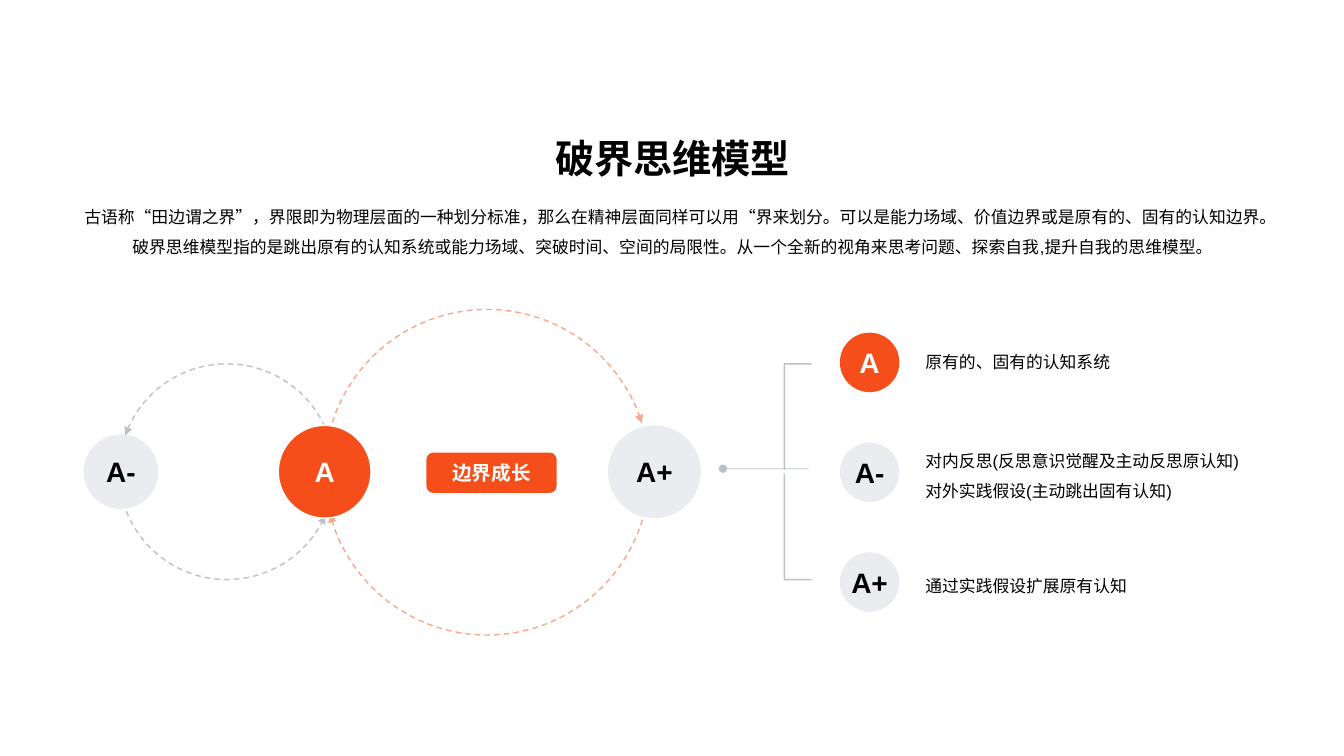
from dataclasses import dataclass

from lxml.etree import SubElement
from pptx import Presentation
from pptx.dml.color import RGBColor
from pptx.enum.dml import MSO_LINE as Dash
from pptx.enum.shapes import MSO_CONNECTOR as Connector, MSO_SHAPE as Shape
from pptx.enum.text import MSO_ANCHOR as Anchor, PP_ALIGN as Align
from pptx.oxml.ns import qn
from pptx.util import Pt


@dataclass(frozen=True)
class Theme:
    font: str = "Arial"
    black: str = "000000"
    white: str = "FFFFFF"
    orange: str = "F54E1A"
    slate: str = "778495"
    title_size: int = 28
    label_size: int = 20
    badge_size: int = 14
    body_size: int = 12
    disc_opacity: int = 15
    line_opacity: int = 50


theme = Theme()
PX = 9144  # 100 px to the inch
ARC_DEGREE = 0.6  # arc adjustments per degree


def paint(fill, color, opacity=100):
    """Fill a shape or line with a colour at a percentage of opacity."""
    fill.solid()
    fill.fore_color.rgb = RGBColor.from_string(color)
    if opacity < 100:
        color_element = fill._xPr.find(qn("a:solidFill"))[0]
        SubElement(color_element, qn("a:alpha"), val=str(opacity * 1000))


def write(shape, lines, size, color, bold=False, align=Align.CENTER,
          anchor=Anchor.MIDDLE, spacing=None, wrap=True):
    frame = shape.text_frame
    frame.word_wrap = wrap
    frame.vertical_anchor = anchor
    paragraph = frame.paragraphs[0]
    paragraph.alignment = align
    if spacing:
        paragraph.line_spacing = spacing
    for index, line in enumerate(lines):
        if index:
            paragraph.add_line_break()
        run = paragraph.add_run()
        run.text = line
        run.font.name = theme.font
        run.font.size = Pt(size)
        run.font.bold = bold
        run.font.color.rgb = RGBColor.from_string(color)


presentation = Presentation()
presentation.slide_width = 1333 * PX
presentation.slide_height = 750 * PX
slide = presentation.slides.add_slide(presentation.slide_layouts[6])
shapes = slide.shapes

# Heading and introduction
title = shapes.add_textbox(73 * PX, 128 * PX, 1188 * PX, 57 * PX)
write(title, ["破界思维模型"], theme.title_size, theme.black, bold=True)
introduction = shapes.add_textbox(73 * PX, 190 * PX, 1188 * PX, 67 * PX)
write(introduction, [
    "古语称“田边谓之界”，界限即为物理层面的一种划分标准，那么在精神层面同样可以用“界来划分。"
    "可以是能力场域、价值边界或是原有的、固有的认知边界。"
    "破界思维模型指的是跳出原有的认知系统或能力场域、突破时间、空间的局限性。"
    "从一个全新的视角来思考问题、探索自我,提升自我的思维模型。"
], theme.body_size, theme.black, anchor=Anchor.TOP, spacing=1.5)

# Dashed loops: left, top, diameter, start and end degrees, flips, colour
arcs = [
    (118, 361, 214, 194.24, 340.38, ["flipH"], theme.slate),
    (118, 361, 214, 201.43, 336.11, ["flipV"], theme.slate),
    (322, 307, 322, 194.24, 342.56, [], theme.orange),
    (322, 308, 322, 196.87, 345.22, ["flipH", "flipV"], theme.orange),
]
for left, top, diameter, start, end, flips, color in arcs:
    arc = shapes.add_shape(Shape.ARC, left * PX, top * PX, diameter * PX, diameter * PX)
    arc.shadow.inherit = False
    arc.adjustments[0] = start * ARC_DEGREE
    arc.adjustments[1] = end * ARC_DEGREE
    for flip in flips:
        arc._element.spPr.xfrm.set(flip, "1")
    arc.fill.background()
    paint(arc.line.fill, color, theme.line_opacity)
    arc.line.width = Pt(1)
    arc.line.dash_style = Dash.DASH
    SubElement(arc.line._ln, qn("a:tailEnd"), type="triangle")

# Discs: label, left, top, diameter
discs = [
    ("A-", 83, 431, 74),
    ("A", 276, 422, 92),
    ("A+", 603, 422, 92),
]
discs += [(label, 833, 330 + row * 109, 59) for row, label in enumerate(["A", "A-", "A+"])]
for label, left, top, diameter in discs:
    disc = shapes.add_shape(Shape.OVAL, left * PX, top * PX, diameter * PX, diameter * PX)
    disc.shadow.inherit = False
    disc.line.fill.background()
    if label == "A":
        paint(disc.fill, theme.orange)
        text_color = theme.white
    else:
        paint(disc.fill, theme.slate, theme.disc_opacity)
        text_color = theme.black
    if diameter == 92 and label == "A":
        paint(disc.line.fill, theme.white)
        disc.line.width = Pt(1)
    write(disc, [label], theme.label_size, text_color, bold=True, wrap=False)

badge = shapes.add_shape(Shape.ROUNDED_RECTANGLE, 423 * PX, 449 * PX, 129 * PX, 40 * PX)
badge.shadow.inherit = False
paint(badge.fill, theme.orange)
badge.line.fill.background()
write(badge, ["边界成长"], theme.badge_size, theme.white, bold=True, wrap=False)

# Explanations: top, height, line spacing, lines
explanations = [
    (344, 30, None, ["原有的、固有的认知系统"]),
    (435, 67, 1.5, ["对内反思(反思意识觉醒及主动反思原认知)", "对外实践假设(主动跳出固有认知)"]),
    (559, 37, 1.5, ["通过实践假设扩展原有认知"]),
]
for top, height, spacing, lines in explanations:
    explanation = shapes.add_textbox(908 * PX, top * PX, 351 * PX, height * PX)
    write(explanation, lines, theme.body_size, theme.black, align=Align.LEFT,
          anchor=Anchor.BOTTOM, spacing=spacing)

# Bracket: kind, start, end, line width
bracket = [
    (Connector.STRAIGHT, (717, 465), (802, 465), 0.5),
    (Connector.ELBOW, (805, 575), (778, 470), 1),
    (Connector.ELBOW, (805, 361), (778, 466), 1),
]
for kind, (start_x, start_y), (end_x, end_y), width in bracket:
    connector = shapes.add_connector(kind, start_x * PX, start_y * PX, end_x * PX, end_y * PX)
    paint(connector.line.fill, theme.slate, theme.line_opacity)
    connector.line.width = Pt(width)
    properties = connector._element.spPr
    SubElement(properties, qn("a:effectLst"))
    if kind == Connector.ELBOW:
        properties.find(qn("a:prstGeom")).set("prst", "bentConnector2")
    else:
        SubElement(connector.line._ln, qn("a:headEnd"), type="oval")

presentation.save("out.pptx")
